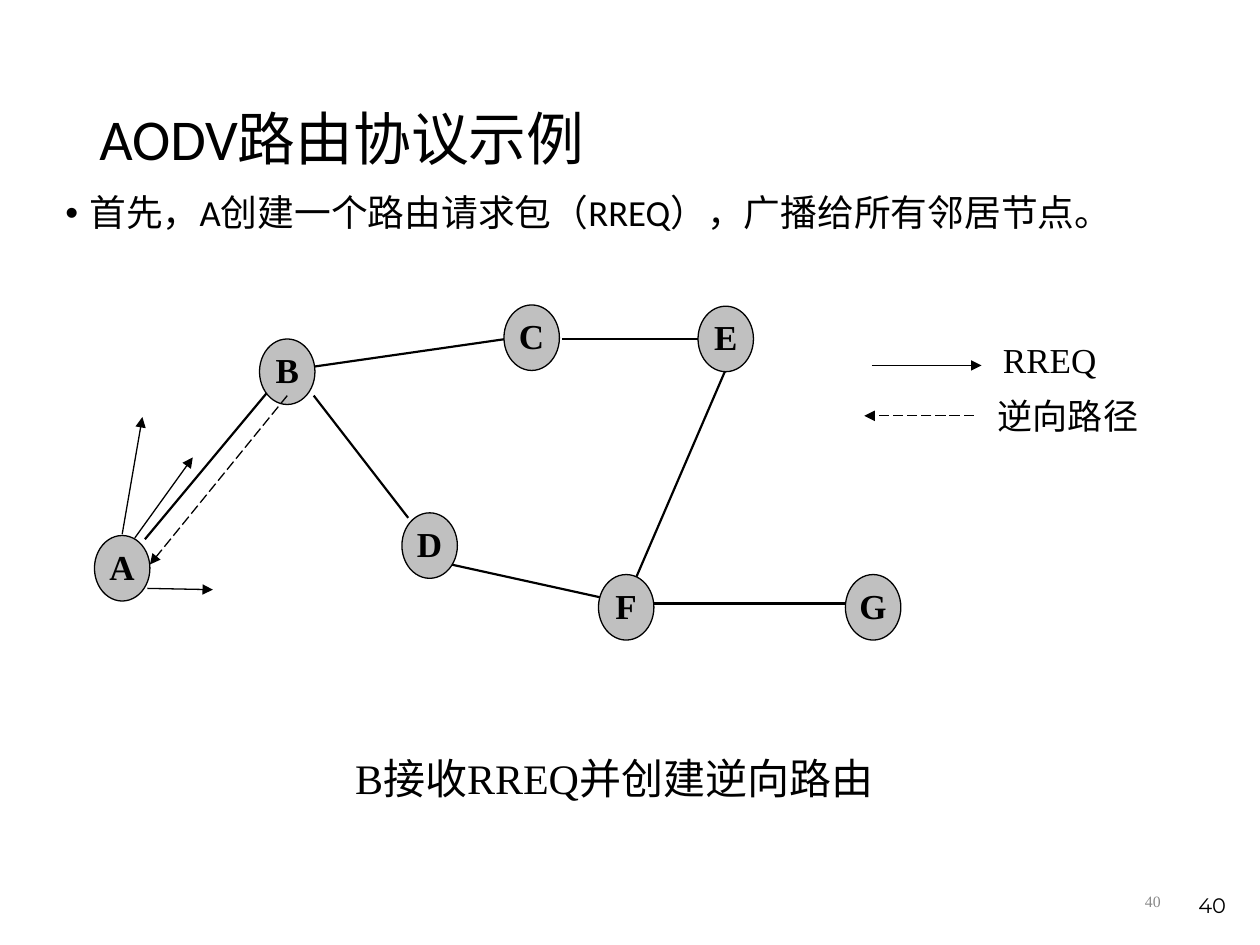
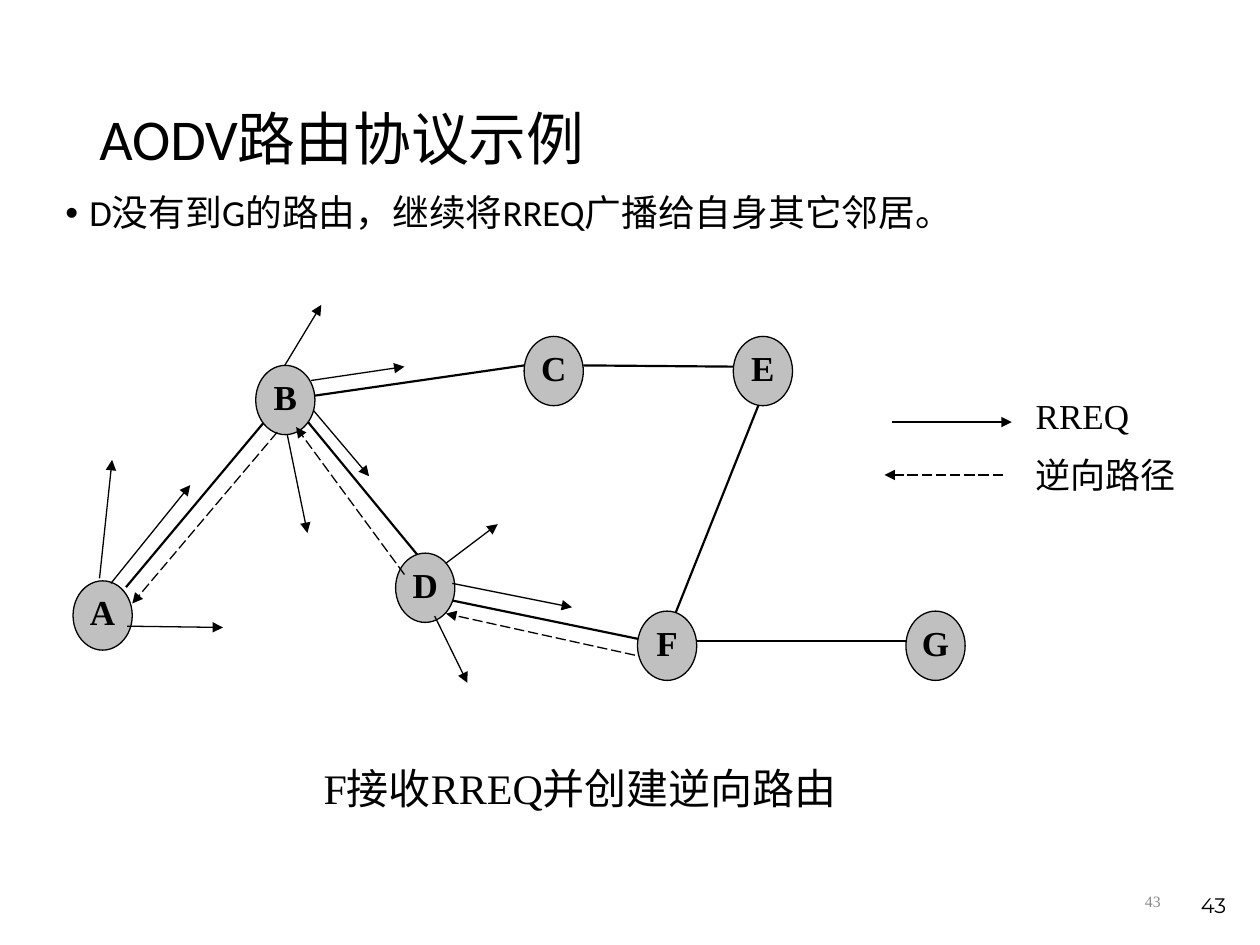
import pptx
import pptx.dml.color
import pptx.enum.dml
import pptx.enum.shapes
import pptx.enum.text
import pptx.oxml.ns
import pptx.util
from lxml import etree

Inches = pptx.util.Inches
Align = pptx.enum.text.PP_ALIGN
Anchor = pptx.enum.text.MSO_ANCHOR

BLACK, NODE_FILL, PALE = "000000", "C0C0C0", "898989"
HEADING_FONT, DIAGRAM_FONT, NUMBER_FONT = "Calibri", "Times New Roman", "Montserrat"
TITLE = "AODV路由协议示例"

# Links and arrows run from (x1, y1) to (x2, y2); arrows point at the second end.
REQUEST_FROM_A = {
    "number": "40",
    "point": "首先，A创建一个路由请求包（RREQ），广播给所有邻居节点。",
    "caption": ("B接收RREQ并创建逆向路由", 2.72, 5.92),
    "node_size": (0.44, 0.52),
    "nodes": {"A": (0.75, 4.25), "B": (2.06, 2.69), "C": (4, 2.42), "D": (3.19, 4.07),
              "E": (5.54, 2.43), "F": (4.75, 4.56), "G": (6.71, 4.56)},
    "links": [(1.15, 4.28, 2.15, 3.08), (2.49, 2.91, 4.02, 2.69), (4.46, 2.69, 5.55, 2.69),
              (2.49, 3.14, 3.24, 4.11), (3.58, 4.48, 4.76, 4.74), (5.05, 4.58, 5.77, 2.91),
              (5.18, 4.79, 6.71, 4.79)],
    "requests": [(1.17, 4.67, 1.69, 4.68), (1.07, 4.27, 1.53, 3.63), (0.97, 4.24, 1.13, 3.31)],
    "reverse_paths": [(2.28, 3.14, 1.19, 4.48)],
    "legend_request": (6.92, 2.9, 7.79, 2.9),
    "legend_reverse": (7.73, 3.3, 6.86, 3.3),
    "legend_labels": [("RREQ", 7.96, 2.69), ("逆向路径", 7.92, 3.13)],
}
REQUEST_FROM_D = {
    "number": "43",
    "point": "D没有到G的路由，继续将RREQ广播给自身其它邻居。",
    "caption": ("F接收RREQ并创建逆向路由", 2.47, 6),
    "node_size": (0.47, 0.55),
    "nodes": {"A": (0.58, 4.61), "B": (2.03, 2.9), "C": (4.16, 2.67), "D": (3.14, 4.39),
              "E": (5.82, 2.67), "F": (5.06, 4.85), "G": (7.19, 4.85)},
    "links": [(1, 4.66, 2.13, 3.31), (2.5, 3.14, 4.16, 2.9), (4.63, 2.9, 5.82, 2.91),
              (2.42, 3.32, 3.31, 4.4), (3.56, 4.76, 5.11, 5.08), (5.34, 4.92, 6.05, 3.14),
              (5.53, 5.09, 7.19, 5.09)],
    "requests": [(1.01, 4.97, 1.77, 4.98), (0.88, 4.63, 1.51, 3.85), (0.79, 4.59, 0.89, 3.65),
                 (2.26, 2.9, 2.55, 2.42), (2.47, 3.02, 3.21, 2.91), (2.49, 3.26, 2.93, 3.78),
                 (2.28, 3.45, 2.44, 4.23), (3.59, 4.63, 4.54, 4.82), (3.54, 4.47, 3.95, 4.16),
                 (3.45, 4.89, 3.71, 5.42)],
    "reverse_paths": [(2.2, 3.43, 1.05, 4.79), (3.21, 4.56, 2.35, 3.39), (5.04, 5.2, 3.54, 4.87)],
    "legend_request": (7.08, 3.35, 8.03, 3.35),
    "legend_reverse": (7.96, 3.77, 7.02, 3.77),
    "legend_labels": [("RREQ", 8.22, 3.13), ("逆向路径", 8.22, 3.6)],
}


def rgb(value):
    return pptx.dml.color.RGBColor.from_string(value)


def sub(parent, tag, **attributes):
    return etree.SubElement(parent, pptx.oxml.ns.qn(tag), **attributes)


def style(p, font, size, color=BLACK, bold=False):
    p.font.name = font
    p.font.size = pptx.util.Pt(size)
    p.font.bold = bold
    p.font.color.rgb = rgb(color)


def clear_margins(tf):
    tf.margin_left = tf.margin_right = tf.margin_top = tf.margin_bottom = 0


def add_text(s, text, box, font, size, color=BLACK, align=Align.LEFT, anchor=Anchor.TOP):
    """Add a one-paragraph text box and return its text frame."""
    tf = s.shapes.add_textbox(*map(Inches, box)).text_frame
    tf.word_wrap = True
    tf.vertical_anchor = anchor
    p = tf.paragraphs[0]
    p.text = text
    p.alignment = align
    style(p, font, size, color)
    return tf


def add_bullet_point(s, text):
    tf = s.shapes.add_textbox(*map(Inches, (0.42, 1.5, 8.92, 0.58))).text_frame
    tf.word_wrap = True
    p = tf.paragraphs[0]
    p.text = text
    p.line_spacing = 0.9
    pPr = p._p.get_or_add_pPr()
    pPr.set("marL", str(Inches(0.19)))
    pPr.set("indent", str(-Inches(0.19)))
    sub(pPr, "a:buFont", typeface="Arial")
    sub(pPr, "a:buChar", char="•")
    style(p, HEADING_FONT, 21)


def add_line(s, ends, width=0.75, arrow=True, dashed=False):
    cn = s.shapes.add_connector(pptx.enum.shapes.MSO_CONNECTOR.STRAIGHT, *map(Inches, ends))
    cn.line.color.rgb = rgb(BLACK)
    cn.line.width = pptx.util.Pt(width)
    if dashed:
        cn.line.dash_style = pptx.enum.dml.MSO_LINE.LONG_DASH
    if arrow:
        sub(cn.line._get_or_add_ln(), "a:tailEnd", type="triangle")
    sub(cn._element.spPr, "a:effectLst")


def add_node(s, name, position, size):
    sp = s.shapes.add_shape(pptx.enum.shapes.MSO_SHAPE.OVAL, *map(Inches, position + size))
    sp.shadow.inherit = False
    sp.fill.solid()
    sp.fill.fore_color.rgb = rgb(NODE_FILL)
    sp.line.color.rgb = rgb(BLACK)
    sp.line.width = pptx.util.Pt(0.75)
    tf = sp.text_frame
    clear_margins(tf)
    tf.vertical_anchor = Anchor.TOP
    p = tf.paragraphs[0]
    p.text = name
    p.alignment = Align.CENTER
    style(p, DIAGRAM_FONT, 20, bold=True)


def add_frame(s, number):
    """Add the title and the two slide numbers that every slide carries."""
    tf = add_text(s, TITLE, (0.69, 0.4, 8.63, 1.45), HEADING_FONT, 33, anchor=Anchor.MIDDLE)
    tf.paragraphs[0].line_spacing = 0.9
    add_text(s, number, (7.06, 6.95, 2.25, 0.4), DIAGRAM_FONT, 9, PALE, Align.RIGHT, Anchor.MIDDLE)
    add_text(s, number, (7.5, 6.83, 2.33, 0.5), NUMBER_FONT, 12, BLACK, Align.RIGHT, Anchor.BOTTOM)


def add_network(s, step):
    for ends in step["links"]:
        add_line(s, ends, width=1.25, arrow=False)
    for name, position in step["nodes"].items():
        add_node(s, name, position, step["node_size"])
    for ends in step["requests"] + [step["legend_request"]]:
        add_line(s, ends)
    for ends in step["reverse_paths"] + [step["legend_reverse"]]:
        add_line(s, ends, dashed=True)
    for label, left, top in step["legend_labels"]:
        clear_margins(add_text(s, label, (left, top, 1.16, 0.45), DIAGRAM_FONT, 20))


def main():
    prs = pptx.Presentation()
    prs.slide_width, prs.slide_height = Inches(10), Inches(7.5)
    for step in (REQUEST_FROM_A, REQUEST_FROM_D):
        s = prs.slides.add_slide(prs.slide_layouts[6])
        add_frame(s, step["number"])
        add_network(s, step)
        caption, left, top = step["caption"]
        add_text(s, caption, (left, top, 4.6, 0.5), DIAGRAM_FONT, 24, anchor=Anchor.MIDDLE)
        add_bullet_point(s, step["point"])
    prs.save("out.pptx")


if __name__ == "__main__":
    main()
